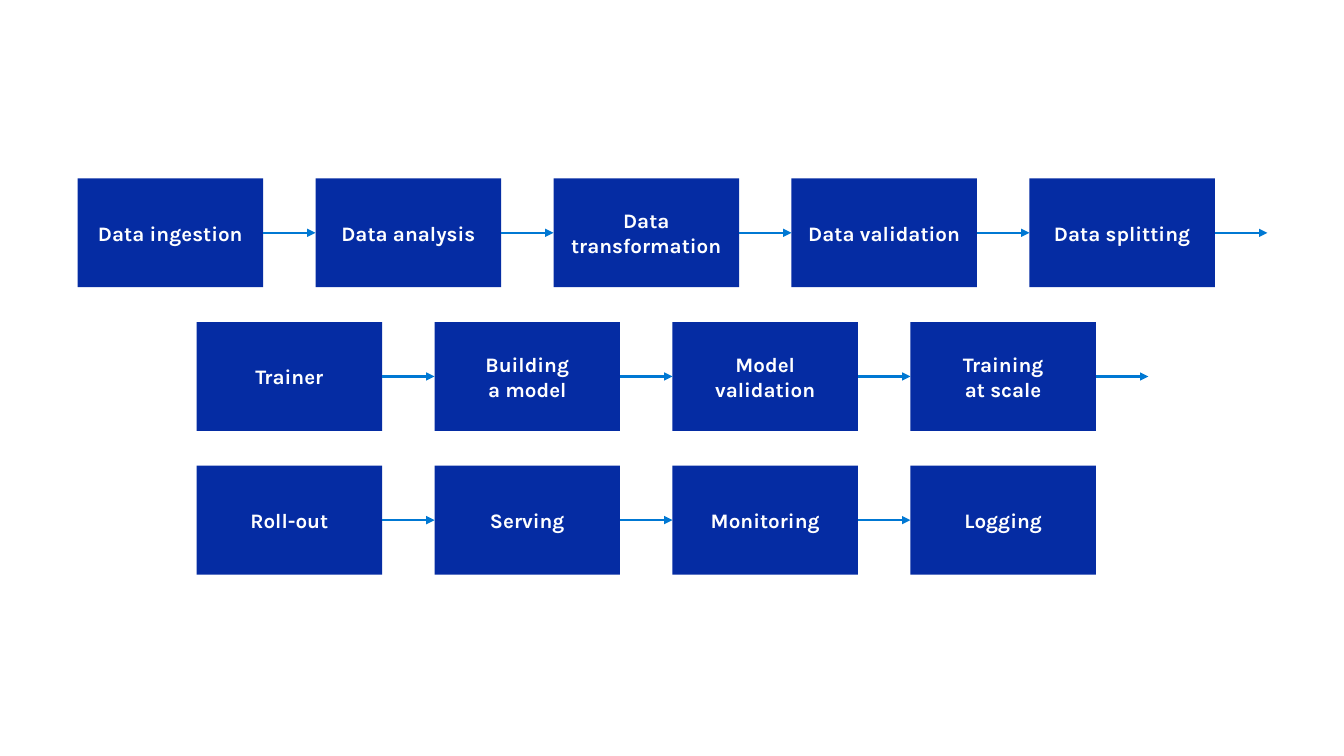
from dataclasses import dataclass

from lxml import etree
from pptx import Presentation
from pptx import util as u
from pptx.dml.color import RGBColor
from pptx.enum import shapes, text
from pptx.oxml import ns
from pptx.shapes.autoshape import Shape
from pptx.slide import Slide

COLORS = {"step": "052CA3", "arrow": "0078D3", "label": "FFFFFF"}
STEP_WIDTH, STEP_HEIGHT = 1.84, 1.08
STEP_PITCH = 2.36
ARROW_LENGTH = STEP_PITCH - STEP_WIDTH
TOP, ROW_PITCH = 1.77, 1.425


@dataclass(frozen=True)
class Stage:
    left: float
    steps: tuple[str, ...]
    leads_on: bool  # an arrow leaves the last step


STAGES = (
    Stage(0.77, ("Data ingestion", "Data analysis", "Data transformation",
                 "Data validation", "Data splitting"), True),
    Stage(1.95, ("Trainer", "Building\na model", "Model\nvalidation",
                 "Training\nat scale"), True),
    Stage(1.95, ("Roll-out", "Serving", "Monitoring", "Logging"), False),
)


def color(name: str) -> RGBColor:
    return RGBColor.from_string(COLORS[name])


def write(step: Shape, label: str, *, size: float = 14.7, font: str = "Karla",
          bold: bool = True, ink: str = "label") -> None:
    frame = step.text_frame
    frame.word_wrap = True
    frame.vertical_anchor = text.MSO_ANCHOR.MIDDLE
    frame.margin_left = frame.margin_right = u.Inches(0.1)
    frame.margin_top = frame.margin_bottom = u.Inches(0.1)
    paragraph = frame.paragraphs[0]
    paragraph.text = label
    paragraph.alignment = text.PP_ALIGN.CENTER
    for run in paragraph.runs:
        run.font.name, run.font.size, run.font.bold = font, u.Pt(size), bold
        run.font.color.rgb = color(ink)
    # Line breaks take the size of the text around them
    for line_break in paragraph._p.findall(ns.qn("a:br")):
        etree.SubElement(line_break, ns.qn("a:rPr"), sz=str(round(size * 100)))


def add_step(slide: Slide, label: str, left: float, top: float) -> Shape:
    step = slide.shapes.add_shape(
        shapes.MSO_SHAPE.RECTANGLE, u.Inches(left), u.Inches(top),
        u.Inches(STEP_WIDTH), u.Inches(STEP_HEIGHT))
    step.shadow.inherit = False
    step.fill.solid()
    step.fill.fore_color.rgb = color("step")
    step.line.fill.background()
    write(step, label)
    return step


def add_arrow(slide: Slide, source: Shape, target: Shape | None) -> None:
    start = source.left + source.width
    middle = source.top + source.height // 2
    arrow = slide.shapes.add_connector(
        shapes.MSO_CONNECTOR.STRAIGHT, start, middle,
        start + u.Inches(ARROW_LENGTH), middle)
    arrow.begin_connect(source, 3)
    if target is not None:
        arrow.end_connect(target, 1)
    arrow.line.color.rgb = color("arrow")
    arrow.line.width = u.Pt(1.5)
    etree.SubElement(arrow.line._get_or_add_ln(), ns.qn("a:tailEnd"), type="triangle")
    etree.SubElement(arrow._element.spPr, ns.qn("a:effectLst"))


def add_stage(slide: Slide, stage: Stage, top: float) -> None:
    steps = [add_step(slide, label, stage.left + i * STEP_PITCH, top)
             for i, label in enumerate(stage.steps)]
    for source, target in zip(steps, steps[1:]):
        add_arrow(slide, source, target)
    if stage.leads_on:
        add_arrow(slide, steps[-1], None)


def main() -> None:
    deck = Presentation()
    deck.slide_width, deck.slide_height = u.Inches(13.33), u.Inches(7.5)
    slide = deck.slides.add_slide(deck.slide_layouts[6])

    # Data, training and operation stages, one per row
    for row, stage in enumerate(STAGES):
        add_stage(slide, stage, TOP + row * ROW_PITCH)

    deck.save("out.pptx")


if __name__ == "__main__":
    main()
